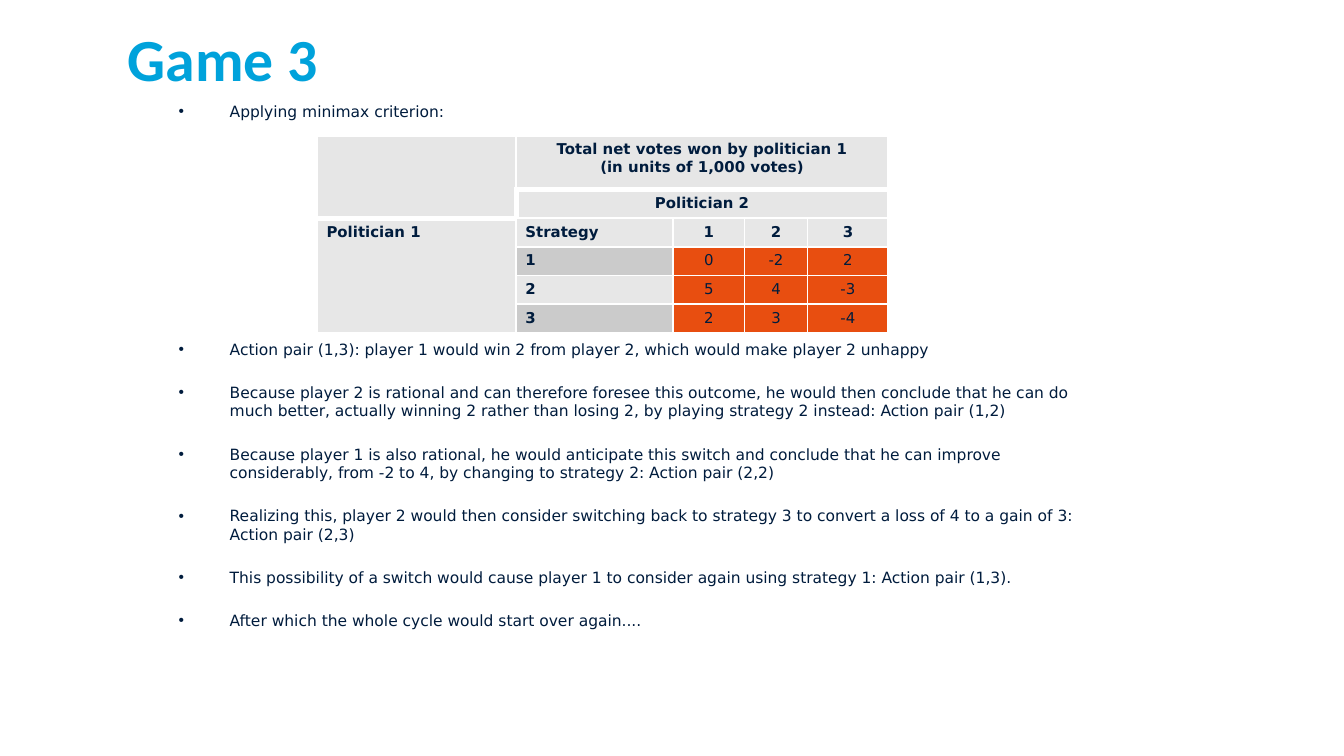
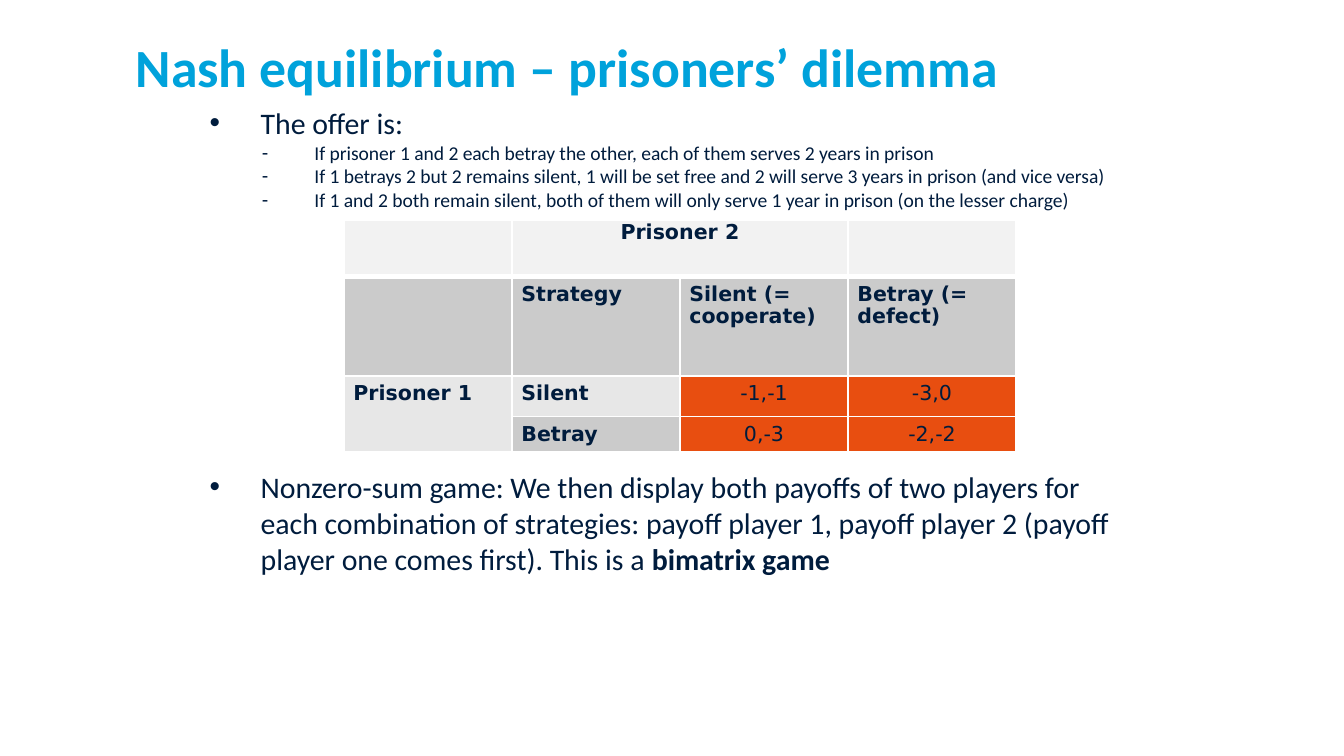
from dataclasses import dataclass

from lxml.etree import SubElement
from pptx import Presentation
from pptx.dml.color import RGBColor
from pptx.enum.text import MSO_ANCHOR, PP_ALIGN
from pptx.oxml.ns import qn
from pptx.util import Inches, Pt


@dataclass(frozen=True)
class Theme:
    # Colours
    title = "00A2DB"
    ink = "001C3D"
    border = "FFFFFF"
    fills = {"H": "E6E6E6", "W": "F2F2F2", "L": "E7E7E7", "D": "CBCBCB", "P": "E84E10"}
    # Fonts and type sizes
    heading_font = "Calibri"
    table_font = "DejaVu Sans"
    bullet_font = "Arial"
    small, sub, body = 8.3, 10.5, 16
    # Line widths
    thin, thick = 1, 3


THEME = Theme()
WIDTH = Inches(10)
HEIGHT = WIDTH * 9 // 16
COLUMN = WIDTH // 100  # one square grid unit
BULLET = ("•", 3.8, 3.8)  # character, text indent, hanging indent
DASH = ("-", 7.8, 3.9)


def grid(*units):
    return [round(unit * COLUMN) for unit in units]


def write(paragraph, text, *, size, font=THEME.table_font, color=THEME.ink, bold=False,
          align=None, before=0, spacing=None, bullet=None):
    """Fill one paragraph; text between ** marks is bold."""
    paragraph.space_before = Pt(before)
    if align is not None:
        paragraph.alignment = align
    if spacing:
        paragraph.line_spacing = spacing
    if bullet:
        character, indent, hanging = bullet
        properties = paragraph._p.get_or_add_pPr()
        left, first = grid(indent, -hanging)
        properties.set("marL", str(left))
        properties.set("indent", str(first))
        SubElement(properties, qn("a:buFont"), typeface=THEME.bullet_font)
        SubElement(properties, qn("a:buChar"), char=character)
    for index, part in enumerate(text.split("**")):
        if part:
            run = paragraph.add_run()
            run.text = part
            run.font.size = Pt(size)
            run.font.name = font
            run.font.bold = bold or index % 2 == 1
            run.font.color.rgb = RGBColor.from_string(color)
    SubElement(paragraph._p, qn("a:endParaRPr"), sz=str(round(size * 100)))


class Deck:
    def __init__(self, theme):
        self.theme = theme
        self.presentation = Presentation()
        self.presentation.slide_width, self.presentation.slide_height = WIDTH, HEIGHT
        self.slide = None

    def new_slide(self):
        self.slide = self.presentation.slides.add_slide(self.presentation.slide_layouts[6])

    def text(self, at, items, top=0, **style):
        """Place a text box; each item is a text with its own format."""
        frame = self.slide.shapes.add_textbox(*grid(*at)).text_frame
        frame.word_wrap = True
        frame.vertical_anchor = MSO_ANCHOR.TOP
        frame.margin_left = frame.margin_right = frame.margin_bottom = 0
        frame.margin_top = grid(top)[0]
        for index, (text, own) in enumerate(items):
            paragraph = frame.add_paragraph() if index else frame.paragraphs[0]
            write(paragraph, text, **{**style, **own})

    def title(self, text, left, top, size):
        self.text((left, top, 68.4, 6.2), [(text, {})], size=size, bold=True,
                  font=self.theme.heading_font, color=self.theme.title)

    def borders(self, cell, thick_sides):
        properties = cell._tc.get_or_add_tcPr()
        for side in "LRTB":
            width = self.theme.thick if side in thick_sides else self.theme.thin
            line = SubElement(properties, qn(f"a:ln{side}"), w=str(Pt(width)))
            fill = SubElement(line, qn("a:solidFill"))
            SubElement(fill, qn("a:srgbClr"), val=self.theme.border)

    def table(self, at, columns, rows, cells, fills, spans, thick, centered,
              size, top=0.4, flush=(), spacing=None):
        """Place a table; fills has one letter per cell, P marking payoffs."""
        frame = self.slide.shapes.add_table(
            len(rows), len(columns), *grid(*at, sum(columns), sum(rows)))
        table = frame.table
        for column, width in zip(table.columns, grid(*columns)):
            column.width = width
        for row, height in zip(table.rows, grid(*rows)):
            row.height = height
        for row_index, row in enumerate(cells):
            for column_index, text in enumerate(row):
                place = (row_index, column_index)
                cell = table.cell(*place)
                letter = fills[row_index][column_index]
                payoff = letter == "P"
                insets = (0, 0, 0, 0) if place in flush else (0.7, top, 0.7, 0.4)
                (cell.margin_left, cell.margin_top,
                 cell.margin_right, cell.margin_bottom) = grid(*insets)
                self.borders(cell, thick.get(place, ""))
                cell.fill.solid()
                cell.fill.fore_color.rgb = RGBColor.from_string(self.theme.fills[letter])
                align = PP_ALIGN.CENTER if payoff or place in centered else PP_ALIGN.LEFT
                for index, line in enumerate(text.split("\n")):
                    paragraph = (cell.text_frame.add_paragraph() if index
                                 else cell.text_frame.paragraphs[0])
                    write(paragraph, line, size=size, bold=not payoff, align=align,
                          spacing=None if place in flush else spacing)
        for first, last in spans:
            table.cell(*first).merge(table.cell(*last))


def game_slide(deck):
    deck.new_slide()
    deck.title("Game 3", 9.5, 1.6, 32)

    # Reasoning, with room for the table after the first point
    points = [
        "Applying minimax criterion:",
        "Action pair (1,3): player 1 would win 2 from player 2, which would make player 2 unhappy",
        "Because player 2 is rational and can therefore foresee this outcome, he would then "
        "conclude that he can do much better, actually winning 2 rather than losing 2, by "
        "playing strategy 2 instead: Action pair (1,2)",
        "Because player 1 is also rational, he would anticipate this switch and conclude that "
        "he can improve considerably, from -2 to 4, by changing to strategy 2: Action pair (2,2)",
        "Realizing this, player 2 would then consider switching back to strategy 3 to convert "
        "a loss of 4 to a gain of 3: Action pair (2,3)",
        "This possibility of a switch would cause player 1 to consider again using strategy 1: "
        "Action pair (1,3).",
        "After which the whole cycle would start over again....",
    ]
    gaps = [0, 117.3] + [13.15] * (len(points) - 2)
    deck.text((13.3, 6, 68.4, 53.4), [(point, {"before": gap}) for point, gap in zip(points, gaps)],
              top=1.6, size=deck.theme.small, bullet=BULLET)

    # Votes table
    deck.table(
        (23.6, 10.1), [14.8, 11.7, 5.3, 4.7, 6], [4] + [2.1] * 5,
        cells=[
            ["", "Total net votes won by politician 1\n(in units of 1,000 votes)", "", "", ""],
            ["", "Politician 2", "", "", ""],
            ["Politician 1", "Strategy", "1", "2", "3"],
            ["", "1", "0", "-2", "2"],
            ["", "2", "5", "4", "-3"],
            ["", "3", "2", "3", "-4"],
        ],
        fills=["HHHHH", "HHHHH", "LLLLL", "LDPPP", "LLPPP", "LDPPP"],
        spans=[((0, 0), (1, 0)), ((0, 1), (0, 4)), ((1, 1), (1, 4)), ((2, 0), (5, 0))],
        thick={(0, 0): "B", (0, 1): "B", (1, 1): "LT", (2, 0): "T"},
        centered=[(0, 1), (1, 1), (2, 2), (2, 3), (2, 4)], size=8)


def dilemma_slide(deck):
    deck.new_slide()
    deck.title("Nash equilibrium – prisoners’ dilemma", 10.1, 2.5, 28.8)

    # The offer, with room for the table before the last point
    terms = [
        "If prisoner 1 and 2 each betray the other, each of them serves 2 years in prison",
        "If 1 betrays 2 but 2 remains silent, 1 will be set free and 2 will serve 3 years in "
        "prison (and vice versa)",
        "If 1 and 2 both remain silent, both of them will only serve 1 year in prison "
        "(on the lesser charge)",
    ]
    conclusion = (
        "Nonzero-sum game: We then display both payoffs of two players for each combination of "
        "strategies: payoff player 1, payoff player 2 (payoff player one comes first). "
        "This is a **bimatrix game**")
    dash_style = {"size": deck.theme.sub, "bullet": DASH}
    deck.text((15.6, 7.8, 68.4, 43.3),
              [("The offer is:", {}), *((term, dash_style) for term in terms),
               (conclusion, {"before": 138})],
              size=deck.theme.body, font=deck.theme.heading_font, bullet=BULLET)

    # Payoff table
    deck.table(
        (25.6, 16.4), [12.5] * 4, [4.2, 7.4, 3, 2.5],
        cells=[
            ["", "Prisoner 2", "", ""],
            ["", "Strategy", "Silent (= cooperate)", "Betray (= defect)"],
            ["Prisoner 1", "Silent", "-1,-1", "-3,0"],
            ["", "Betray", "0,-3", "-2,-2"],
        ],
        fills=["WWWW", "DDDD", "LLPP", "LDPP"],
        spans=[((0, 1), (0, 2)), ((2, 0), (3, 0))],
        thick={(row, column): side for row, side in enumerate("BT") for column in range(4)},
        centered=[(0, 1)], size=11, top=0.5, flush=[(0, 1)], spacing=0.93)


def main():
    deck = Deck(THEME)
    game_slide(deck)
    dilemma_slide(deck)
    deck.presentation.save("out.pptx")


if __name__ == "__main__":
    main()
